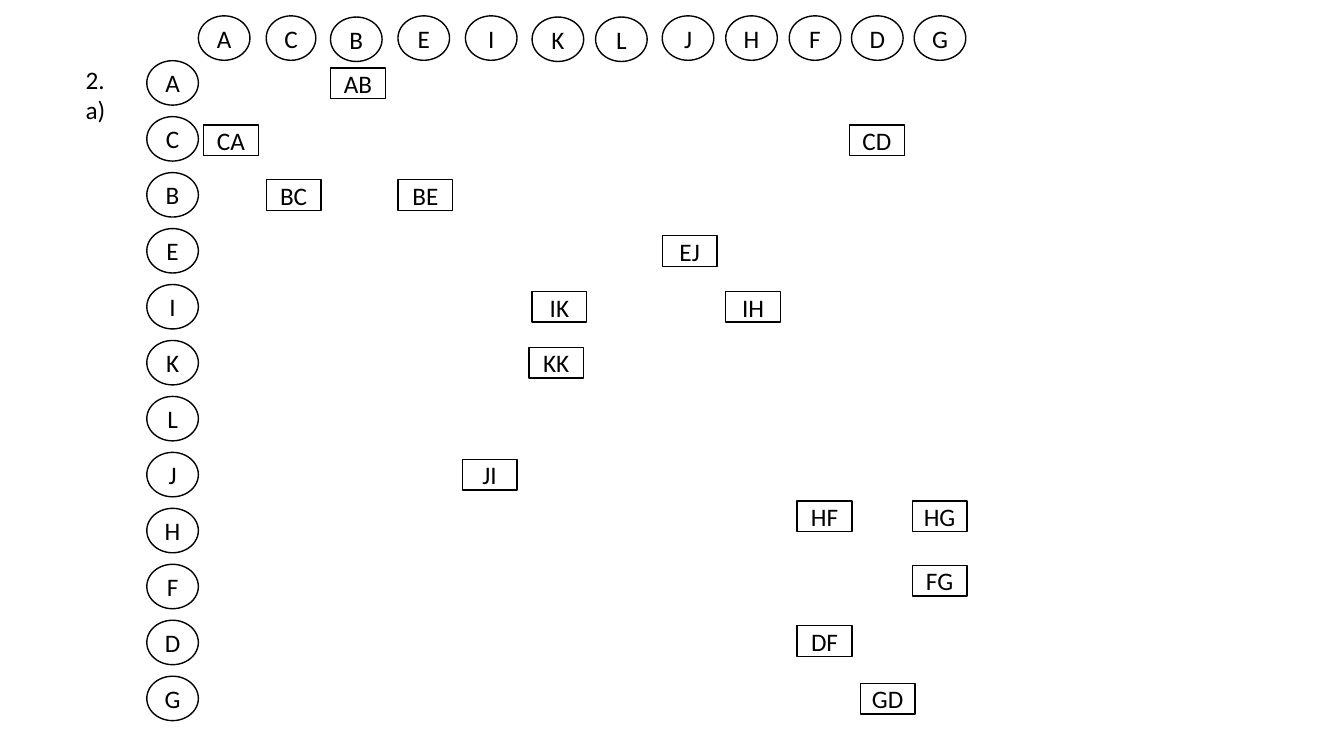
from dataclasses import dataclass

import pptx
import pptx.dml.color
import pptx.enum.shapes
import pptx.enum.text
import pptx.util
from pptx.util import Cm


@dataclass(frozen=True)
class Theme:
    font: str = "Calibri"
    size: pptx.util.Length = pptx.util.Pt(18)
    line_width: pptx.util.Length = pptx.util.Pt(1)
    ink: pptx.dml.color.RGBColor = pptx.dml.color.RGBColor(0, 0, 0)
    paper: pptx.dml.color.RGBColor = pptx.dml.color.RGBColor(255, 255, 255)


THEME = Theme()
OVAL = pptx.enum.shapes.MSO_SHAPE.OVAL
RECTANGLE = pptx.enum.shapes.MSO_SHAPE.RECTANGLE

# Grid of the adjacency matrix, in centimetres
COLUMN_LEFTS = {
    "A": 5.0, "C": 6.71, "B": 8.33, "E": 10.03, "I": 11.73, "K": 13.41,
    "L": 15.01, "J": 16.69, "H": 18.29, "F": 19.89, "D": 21.46, "G": 23.04,
}
HEADER_TOP = 0.4
LOW_HEADERS, HEADER_DROP = "BKL", 0.03
ROW_LEFT, FIRST_ROW_TOP, ROW_STEP = 3.7, 1.53, 1.41
ROW_TOPS = {node: FIRST_ROW_TOP + i * ROW_STEP for i, node in enumerate(COLUMN_LEFTS)}
NODE_WIDTH, NARROW_NODE_WIDTH, NODE_HEIGHT = 1.3, 1.25, 1.12
EDGE_WIDTH, EDGE_HEIGHT, EDGE_DROP = 1.38, 0.77, 0.18

# Each edge runs from its row letter to its column letter; offsets are right, down
EDGES = {
    "AB": (0, 0), "CA": (0.13, 0.03), "CD": (-0.05, 0.03),
    "BC": (0, 0), "BE": (0, 0), "EJ": (0, 0),
    "IK": (0, 0), "IH": (0, 0), "KK": (-0.08, 0), "JI": (-0.08, 0),
    "HF": (0.2, -0.36), "HG": (-0.05, -0.36), "FG": (-0.05, -0.15),
    "DF": (0.2, -0.04), "GD": (0.22, 0),
}


def write_text(shape, text, alignment):
    shape.text_frame.text = text
    para = shape.text_frame.paragraphs[0]
    para.alignment = alignment
    for span in para.runs:
        span.font.name = THEME.font
        span.font.size = THEME.size
        span.font.color.rgb = THEME.ink


def add_label(page, text, left, top, width, height):
    box = page.shapes.add_textbox(Cm(left), Cm(top), Cm(width), Cm(height))
    box.text_frame.word_wrap = True
    write_text(box, text, pptx.enum.text.PP_ALIGN.LEFT)


def add_outlined(page, kind, text, left, top, width, height):
    shape = page.shapes.add_shape(kind, Cm(left), Cm(top), Cm(width), Cm(height))
    shape.shadow.inherit = False
    shape.fill.solid()
    shape.fill.fore_color.rgb = THEME.paper
    shape.line.color.rgb = THEME.ink
    shape.line.width = THEME.line_width
    shape.text_frame.vertical_anchor = pptx.enum.text.MSO_ANCHOR.MIDDLE
    write_text(shape, text, pptx.enum.text.PP_ALIGN.CENTER)


def add_nodes(page):
    # Column headers
    for node, left in COLUMN_LEFTS.items():
        top = HEADER_TOP + (HEADER_DROP if node in LOW_HEADERS else 0)
        width = NARROW_NODE_WIDTH if node == "C" else NODE_WIDTH
        add_outlined(page, OVAL, node, left, top, width, NODE_HEIGHT)
    # Row headers
    for node, top in ROW_TOPS.items():
        add_outlined(page, OVAL, node, ROW_LEFT, top, NODE_WIDTH, NODE_HEIGHT)


def add_edges(page):
    for edge, (right, down) in EDGES.items():
        row, column = edge
        add_outlined(page, RECTANGLE, edge, COLUMN_LEFTS[column] + right,
                     ROW_TOPS[row] + EDGE_DROP + down, EDGE_WIDTH, EDGE_HEIGHT)


def main():
    deck = pptx.Presentation()
    deck.slide_width, deck.slide_height = Cm(33.87), Cm(19.05)
    page = deck.slides.add_slide(deck.slide_layouts[6])
    add_label(page, "2. a)", 1.91, 1.5, 1.37, 1.8)
    add_nodes(page)
    add_edges(page)
    deck.save("out.pptx")


if __name__ == "__main__":
    main()
